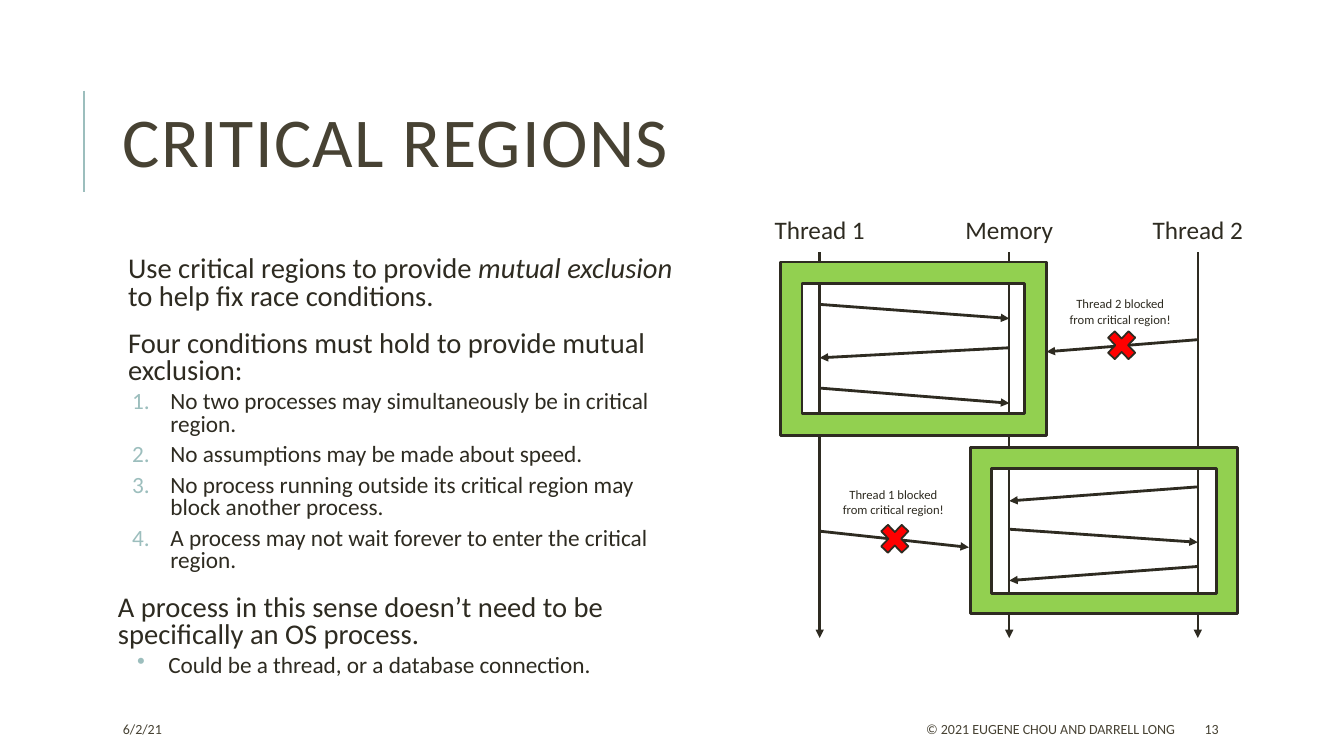
from dataclasses import dataclass, field
from typing import Any

from lxml import etree
from pptx import Presentation
from pptx.dml.color import RGBColor
from pptx.enum.shapes import MSO_CONNECTOR, MSO_SHAPE
from pptx.enum.text import MSO_ANCHOR, PP_ALIGN
from pptx.oxml.ns import qn
from pptx.util import Inches, Pt

STRAIGHT = MSO_CONNECTOR.STRAIGHT
FRAME, CROSS = MSO_SHAPE.FRAME, MSO_SHAPE.MATH_MULTIPLY
TOP, MIDDLE = MSO_ANCHOR.TOP, MSO_ANCHOR.MIDDLE
LEFT, CENTER, RIGHT = PP_ALIGN.LEFT, PP_ALIGN.CENTER, PP_ALIGN.RIGHT


@dataclass(frozen=True)
class Theme:
    font: str = "Calibri"
    ink: str = "2E2B21"
    heading: str = "474233"
    accent: str = "9CBEBD"
    region: str = "92D050"
    blocked: str = "FF0000"
    title_size: float = 50
    body_size: float = 20.4
    item_size: float = 16.6
    label_size: float = 18
    note_size: float = 9
    footer_size: float = 10


THEME = Theme()


@dataclass
class Para:
    runs: list[tuple[str, bool]]  # text, italic
    size: float
    color: str = THEME.ink
    fmt: dict[str, Any] = field(default_factory=dict)
    margin: float = 0
    hanging: float = 0
    bullet: tuple[str, str, str] | None = None  # tag, attribute, value


@dataclass
class Box:
    left: float
    top: float
    width: float
    height: float
    paras: list[Para]
    anchor: Any = TOP
    inset: float = 0.1
    tracking: int = 0


@dataclass
class Line:
    x1: float
    y1: float
    x2: float
    y2: float
    width: float = 2
    color: str = THEME.ink
    arrow: bool = True


@dataclass
class Mark:
    kind: Any
    left: float
    top: float
    width: float
    height: float
    fill: str
    line_width: float


def set_all(target: Any, values: dict[str, Any]) -> None:
    for name, value in values.items():
        setattr(target, name, value)


def add_box(shapes: Any, box: Box) -> None:
    tb = shapes.add_textbox(*map(Inches, (box.left, box.top, box.width, box.height)))
    tf = tb.text_frame
    set_all(tf, dict(word_wrap=True, vertical_anchor=box.anchor,
                     margin_left=Inches(box.inset), margin_right=Inches(box.inset),
                     margin_top=Inches(0.05), margin_bottom=Inches(0.05)))
    for i, para in enumerate(box.paras):
        p = tf.add_paragraph() if i else tf.paragraphs[0]
        set_all(p, para.fmt)
        pPr = p._p.get_or_add_pPr()
        pPr.set("marL", str(Inches(para.margin)))
        pPr.set("indent", str(-Inches(para.hanging)))
        if para.bullet:
            tag, attr, value = para.bullet
            clr = etree.SubElement(pPr, qn("a:buClr"))
            etree.SubElement(clr, qn("a:srgbClr")).set("val", THEME.accent)
            etree.SubElement(pPr, qn(tag)).set(attr, value)
        for text, italic in para.runs:
            r = p.add_run()
            r.text = text
            set_all(r.font, dict(name=THEME.font, size=Pt(para.size), italic=italic))
            r.font.color.rgb = RGBColor.from_string(para.color)
            if box.tracking:
                r._r.get_or_add_rPr().set("spc", str(box.tracking))


def add_line(shapes: Any, line: Line) -> None:
    c = shapes.add_connector(STRAIGHT, *map(Inches, (line.x1, line.y1, line.x2, line.y2)))
    c.line.color.rgb = RGBColor.from_string(line.color)
    c.line.width = Pt(line.width)
    spPr = c._element.spPr
    if line.arrow:
        etree.SubElement(spPr.find(qn("a:ln")), qn("a:tailEnd")).set("type", "triangle")
    etree.SubElement(spPr, qn("a:effectLst"))


def add_mark(shapes: Any, mark: Mark) -> None:
    sp = shapes.add_shape(mark.kind, *map(Inches, (mark.left, mark.top, mark.width, mark.height)))
    sp.shadow.inherit = False
    sp.fill.solid()
    sp.fill.fore_color.rgb = RGBColor.from_string(mark.fill)
    sp.line.color.rgb = RGBColor.from_string(THEME.ink)
    sp.line.width = Pt(mark.line_width)


BODY_FMT = dict(line_spacing=0.8, space_before=Pt(12), space_after=Pt(2))
FIRST_FMT = BODY_FMT | dict(space_before=Pt(0))
ITEM_FMT = dict(level=1, line_spacing=0.8, space_before=Pt(2), space_after=Pt(4))
CONDITIONS = [
    "No two processes may simultaneously be in critical region.",
    "No assumptions may be made about speed.",
    "No process running outside its critical region may block another process.",
    "A process may not wait forever to enter the critical region.",
]
BODY = [
    Para([("Use critical regions to provide ", False), ("mutual exclusion", True),
          (" to help fix race conditions.", False)], THEME.body_size, fmt=FIRST_FMT, margin=0.1),
    Para([("Four conditions must hold to provide mutual exclusion:", False)],
         THEME.body_size, fmt=BODY_FMT, margin=0.1),
    *(Para([(text, False)], THEME.item_size, fmt=ITEM_FMT, margin=0.52, hanging=0.38,
           bullet=("a:buAutoNum", "type", "arabicPeriod")) for text in CONDITIONS),
    Para([("A process in this sense doesn’t need to be specifically an OS process.", False)],
         THEME.body_size, fmt=BODY_FMT),
    Para([("Could be a thread, or a database connection.", False)], THEME.item_size,
         fmt=ITEM_FMT, margin=0.5, hanging=0.31, bullet=("a:buChar", "char", "•")),
]

THREAD_1, MEMORY, THREAD_2 = 8.13, 10.01, 11.88
LIFELINES = {"Thread 1": THREAD_1, "Memory": MEMORY, "Thread 2": THREAD_2}
REGIONS = [Mark(FRAME, 7.74, 2.6, 2.64, 1.72, THEME.region, 2),
           Mark(FRAME, 9.63, 4.44, 2.64, 1.65, THEME.region, 2)]
MESSAGES = [
    Line(THREAD_1, 3.02, MEMORY, 3.16),
    Line(MEMORY, 3.45, THREAD_1, 3.55),
    Line(THREAD_1, 3.85, MEMORY, 4),
    Line(THREAD_2, 4.83, MEMORY, 4.97),
    Line(MEMORY, 5.25, THREAD_2, 5.38),
    Line(THREAD_2, 5.62, MEMORY, 5.76),
    Line(THREAD_2, 3.37, 10.38, 3.49),
    Line(THREAD_1, 5.27, 9.61, 5.43),
]
# thread name, centre of the note, top of the note, top of the cross
BLOCKS = [("Thread 2", 11.11, 2.89, 3.22), ("Thread 1", 8.86, 4.78, 5.14)]
FOOTERS = [("6/2/21", 1.12, 2.36, LEFT),
           ("© 2021 EUGENE CHOU AND DARRELL LONG", 5.3, 6.45, RIGHT),
           ("13", 11.85, 1.06, LEFT)]


def add_diagram(shapes: Any) -> None:
    centred = dict(alignment=CENTER)
    for name, x in LIFELINES.items():
        label = Para([(name, False)], THEME.label_size, fmt=centred)
        add_box(shapes, Box(x - 0.72, 2.08, 1.44, 0.4, [label]))
        add_line(shapes, Line(x, 2.5, x, 6.33, width=1.75))
    for region in REGIONS:
        add_mark(shapes, region)
    for message in MESSAGES:
        add_line(shapes, message)
    for name, x, note_top, cross_top in BLOCKS:
        note = Para([(f"{name} blocked from critical region!", False)],
                    THEME.note_size, fmt=centred)
        add_box(shapes, Box(x - 0.63, note_top, 1.26, 0.4, [note]))
        add_mark(shapes, Mark(CROSS, x - 0.18, cross_top, 0.39, 0.41, THEME.blocked, 1.25))


def main() -> None:
    prs = Presentation()
    prs.slide_width, prs.slide_height = Inches(13.33), Inches(7.5)
    s = prs.slides.add_slide(prs.slide_layouts[6])
    add_line(s.shapes, Line(0.83, 0.9, 0.83, 1.9, 1.5, THEME.accent, arrow=False))
    title = Para([("CRITICAL REGIONS", False)], THEME.title_size, THEME.heading,
                 dict(line_spacing=0.8))
    add_box(s.shapes, Box(1.12, 0.64, 10.63, 1.64, [title], MIDDLE, tracking=100))
    add_box(s.shapes, Box(1.12, 2.5, 5.62, 4.4, BODY, inset=0.05))
    add_diagram(s.shapes)
    for text, left, width, align in FOOTERS:
        footer = Para([(text, False)], THEME.footer_size, THEME.heading, dict(alignment=align))
        add_box(s.shapes, Box(left, 7.08, width, 0.3, [footer], MIDDLE))
    prs.save("out.pptx")


if __name__ == "__main__":
    main()
